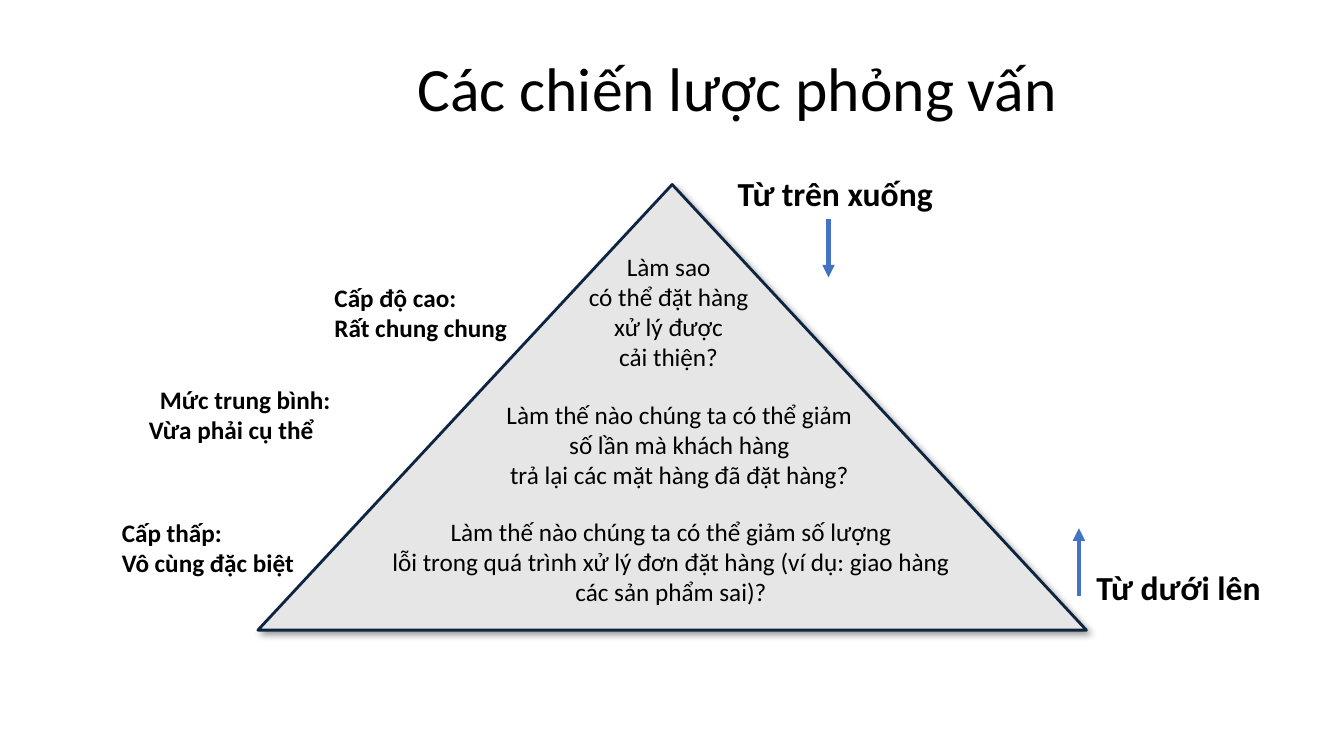
from lxml import etree
from pptx import Presentation
from pptx.dml.color import RGBColor
from pptx.enum import shapes, text
from pptx.oxml import ns
from pptx.util import Cm, Pt

BLACK = RGBColor(0x00, 0x00, 0x00)
WHITE = RGBColor(0xFF, 0xFF, 0xFF)
GREY = RGBColor(0xE7, 0xE6, 0xE6)
NAVY = RGBColor(0x0E, 0x25, 0x42)
BLUE = RGBColor(0x44, 0x72, 0xC4)
LEFT, CENTER = text.PP_ALIGN.LEFT, text.PP_ALIGN.CENTER

QUESTIONS = [
    (-0.09, 1.55, 4.6, 3.33,
     ["Làm sao", "có thể đặt hàng", "xử lý được", "cải thiện?"]),
    (0.18, 5.28, 9.35, 2.57,
     ["Làm thế nào chúng ta có thể giảm", "số lần mà khách hàng",
      "trả lại các mặt hàng đã đặt hàng?"]),
    (-0.03, 8.23, 14.73, 2.57,
     ["Làm thế nào chúng ta có thể giảm số lượng",
      "lỗi trong quá trình xử lý đơn đặt hàng (ví dụ: giao hàng",
      "các sản phẩm sai)?"]),
]
LEVELS = [
    (1.68, 2.34, 4.9, 0, ["Cấp độ cao:", "Rất chung chung"]),
    (-3.0, 4.9, 5.16, 0.28, ["Mức trung bình:", "Vừa phải cụ thể"]),
    (-3.68, 8.25, 4.88, 0, ["Cấp thấp:", "Vô cùng đặc biệt"]),
]
DIRECTIONS = [
    (11.84, -0.41, 5.49, None, 14.38, 0.86, 2.34, "Từ trên xuống"),
    (20.88, 9.52, 4.7, WHITE, 20.69, 10.36, 8.66, "Từ dưới lên"),
]


def add_text(slide, box, lines, size=18, bold=False, align=LEFT, wrap=False,
             anchor=text.MSO_ANCHOR.TOP, spacing=None, first_indent=0, fill=None):
    """Place lines of text, one paragraph each, in a box given in centimetres."""
    label = slide.shapes.add_textbox(*map(Cm, box))
    if fill is not None:
        label.fill.solid()
        label.fill.fore_color.rgb = fill
    frame = label.text_frame
    frame.word_wrap = wrap
    frame.vertical_anchor = anchor
    for index, line in enumerate(lines):
        paragraph = frame.add_paragraph() if index else frame.paragraphs[0]
        if first_indent and index == 0:
            paragraph._p.get_or_add_pPr().set("marL", str(Cm(first_indent)))
        paragraph.alignment = align
        paragraph.line_spacing = spacing
        run = paragraph.add_run()
        run.text = line
        run.font.name = "Calibri"
        run.font.size = Pt(size)
        run.font.bold = bold
        run.font.color.rgb = BLACK


def add_shadow(shape):
    """Give a shape a soft shadow towards its lower right."""
    effects = etree.SubElement(shape._element.spPr, ns.qn("a:effectLst"))
    shadow = etree.SubElement(effects, ns.qn("a:outerShdw"), blurRad=str(Pt(5)),
                              dist=str(Pt(3)), dir="2700000", algn="tl", rotWithShape="0")
    color = etree.SubElement(shadow, ns.qn("a:srgbClr"), val=str(BLACK))
    etree.SubElement(color, ns.qn("a:alpha"), val="40000")


def add_arrow(slide, x, start, end):
    """Draw a vertical arrow from start to end."""
    arrow = slide.shapes.add_connector(shapes.MSO_CONNECTOR.STRAIGHT,
                                       Cm(x), Cm(start), Cm(x), Cm(end))
    arrow.line.color.rgb = BLUE
    arrow.line.width = Pt(3)
    etree.SubElement(arrow.line._get_or_add_ln(), ns.qn("a:tailEnd"), type="triangle")
    etree.SubElement(arrow._element.spPr, ns.qn("a:effectLst"))


def add_pyramid(slide, box):
    """Draw the triangle with its three questions."""
    left, top, width, _ = box
    pyramid = slide.shapes.add_shape(shapes.MSO_SHAPE.ISOSCELES_TRIANGLE, *map(Cm, box))
    pyramid.fill.solid()
    pyramid.fill.fore_color.rgb = GREY
    pyramid.line.color.rgb = NAVY
    pyramid.line.width = Pt(2)
    add_shadow(pyramid)
    for shift, down, wide, high, question in QUESTIONS:
        question_left = left + (width - wide) / 2 + shift
        add_text(slide, (question_left, top + down, wide, high), question, align=CENTER)


def add_levels(slide, box):
    """Name the levels along the left side of the pyramid."""
    left, top, _, _ = box
    for across, down, wide, indent, level in LEVELS:
        add_text(slide, (left + across, top + down, wide, 1.8), level,
                 bold=True, first_indent=indent)


def add_directions(slide, box):
    """Add the two directions with their arrows on the right of the pyramid."""
    left, top, _, _ = box
    for across, down, wide, fill, arrow_x, start, end, direction in DIRECTIONS:
        add_text(slide, (left + across, top + down, wide, 1.27), [direction],
                 size=24, bold=True, fill=fill)
        add_arrow(slide, left + arrow_x, top + start, top + end)


def main():
    """Build the slide and save it."""
    deck = Presentation()
    deck.slide_width, deck.slide_height = Cm(33.87), Cm(19.05)
    slide = deck.slides.add_slide(deck.slide_layouts[6])
    add_text(slide, (5.66, 1.02, 25.86, 2.59), ["Các chiến lược phỏng vấn"], size=44,
             align=CENTER, wrap=True, anchor=text.MSO_ANCHOR.MIDDLE, spacing=0.9)
    pyramid_box = (6.5, 4.65, 20.88, 11.23)
    add_pyramid(slide, pyramid_box)
    add_directions(slide, pyramid_box)
    add_levels(slide, pyramid_box)
    deck.save("out.pptx")


if __name__ == "__main__":
    main()
